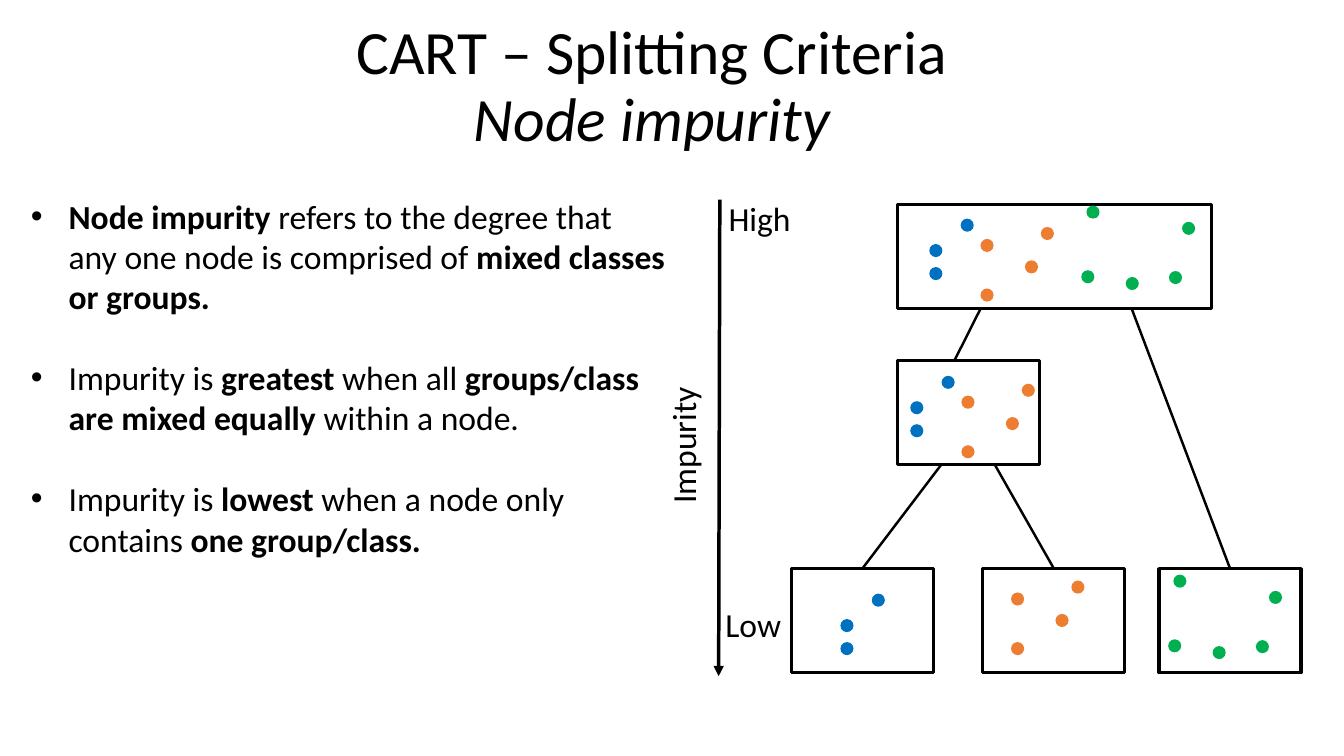
"""Build the slide on node impurity as a splitting criterion of CART."""
from dataclasses import dataclass

import lxml.etree
import pptx
import pptx.dml.color
import pptx.enum.shapes
import pptx.enum.text
import pptx.oxml.ns
import pptx.shapes.connector
import pptx.slide
import pptx.text.text
import pptx.util

Cm = pptx.util.Cm
Pt = pptx.util.Pt
qn = pptx.oxml.ns.qn
SHAPES = pptx.enum.shapes.MSO_SHAPE


@dataclass(frozen=True)
class Theme:
    """Colours, font and type sizes of the slide."""
    font: str = "Calibri"
    ink: str = "000000"
    blue: str = "0070C0"
    orange: str = "ED7D31"
    green: str = "00B050"
    title_size: int = 44
    body_size: int = 24
    paragraph_gap: int = 29


@dataclass(frozen=True)
class Node:
    """A rectangle of the tree, in centimetres."""
    left: float
    top: float
    width: float = 3.58
    height: float = 2.62


@dataclass(frozen=True)
class Branch:
    """A line from the bottom of a parent to the top of a child."""
    parent: Node
    child: Node
    start_x: float
    end_x: float


@dataclass(frozen=True)
class DotClass:
    """One class: a pattern of dots and the corners where it is repeated."""
    color: str
    dots: tuple[tuple[float, float], ...]
    corners: tuple[tuple[float, float], ...]


@dataclass(frozen=True)
class Label:
    """A short caption beside the impurity axis, in centimetres."""
    text: str
    left: float
    top: float
    width: float
    rotation: int = 0


THEME = Theme()
DOT_SIZE = 0.33
LEAF_TOP = 14.33

ROOT = Node(22.61, 5.16, width=7.92)
MIXED = Node(22.61, 9.09)
BLUE_LEAF, ORANGE_LEAF, GREEN_LEAF = (Node(left, LEAF_TOP) for left in (19.94, 24.77, 29.21))
NODES = (ROOT, MIXED, BLUE_LEAF, ORANGE_LEAF, GREEN_LEAF)

BRANCHES = (
    Branch(ROOT, MIXED, 24.71, 24.05),
    Branch(MIXED, BLUE_LEAF, 23.72, 21.73),
    Branch(MIXED, ORANGE_LEAF, 25.07, 26.56),
    Branch(ROOT, GREEN_LEAF, 28.52, 31),
)

DOT_CLASSES = (
    DotClass(THEME.blue, ((0, 1.22), (0.79, 0), (0, 0.64)),
             ((23.42, 5.51), (22.94, 9.47), (21.18, 14.96))),
    DotClass(THEME.orange, ((0, 0.3), (1.12, 0.84), (1.52, 0), (0, 1.55)),
             ((24.71, 5.72), (24.23, 9.67), (25.48, 14.63))),
    DotClass(THEME.green, ((1.12, 1.8), (2.54, 0.41), (0, 1.63), (2.21, 1.65), (0.13, 0)),
             ((27.25, 5.18), (29.44, 14.48))),
)

LABELS = (
    Label("High", 18.11, 4.85, 2.08),
    Label("Low", 18.03, 15.09, 1.93),
    Label("Impurity", 15.47, 10.57, 3.48, rotation=270),
)

# Asterisks enclose bold words; each inner string is one line.
BULLETS = (
    ("*Node impurity* refers to the degree that",
     "any one node is comprised of *mixed classes*",
     "*or groups.*"),
    ("Impurity is *greatest* when all *groups/class*",
     "*are mixed equally* within a node."),
    ("Impurity is *lowest* when a node only",
     "contains *one group/class.*"),
)


def rgb(color: str) -> pptx.dml.color.RGBColor:
    """Turn a hex string into a colour."""
    return pptx.dml.color.RGBColor.from_string(color)


def style_span(span: pptx.text.text._Run, size: int, bold: bool = False) -> None:
    """Apply the theme font to a run."""
    span.font.name = THEME.font
    span.font.size = Pt(size)
    span.font.bold = bold
    span.font.color.rgb = rgb(THEME.ink)


def add_title(page: pptx.slide.Slide) -> None:
    """Add the two-line centred title."""
    box = page.shapes.add_textbox(Cm(1.83), Cm(0.38), Cm(29.21), Cm(3.68))
    box.text_frame.word_wrap = True
    box.text_frame.vertical_anchor = pptx.enum.text.MSO_ANCHOR.MIDDLE
    para = box.text_frame.paragraphs[0]
    para.text = "CART – Splitting Criteria\vNode impurity"
    para.alignment = pptx.enum.text.PP_ALIGN.CENTER
    para.line_spacing = 0.9
    for span in para.runs:
        style_span(span, THEME.title_size)
    para.runs[-1].font.italic = True


def add_bullets(page: pptx.slide.Slide) -> None:
    """Add the bulleted explanation with its bold words."""
    box = page.shapes.add_textbox(Cm(0.53), Cm(4.8), Cm(16.84), Cm(9.5))
    frame = box.text_frame
    frame.word_wrap = True
    for number, lines in enumerate(BULLETS):
        para = frame.add_paragraph() if number else frame.paragraphs[0]
        para.space_after = Pt(THEME.paragraph_gap)
        properties = para._p.get_or_add_pPr()
        properties.set("marL", str(Cm(0.95)))
        properties.set("indent", str(-Cm(0.95)))
        lxml.etree.SubElement(properties, qn("a:buFont")).set("typeface", "Arial")
        lxml.etree.SubElement(properties, qn("a:buChar")).set("char", "•")
        for line_number, line in enumerate(lines):
            if line_number:
                para.add_line_break()
            for part_number, part in enumerate(line.split("*")):
                if part:
                    span = para.add_run()
                    span.text = part
                    style_span(span, THEME.body_size, bold=part_number % 2 == 1)


def add_label(page: pptx.slide.Slide, label: Label) -> None:
    """Add one caption of the axis."""
    box = page.shapes.add_textbox(Cm(label.left), Cm(label.top), Cm(label.width), Cm(1.27))
    box.rotation = label.rotation
    box.text_frame.word_wrap = False
    box.text_frame.text = label.text
    style_span(box.text_frame.paragraphs[0].runs[0], THEME.body_size)


def add_node(page: pptx.slide.Slide, node: Node) -> None:
    """Draw the outlined rectangle of a node."""
    box = page.shapes.add_shape(SHAPES.RECTANGLE, Cm(node.left), Cm(node.top),
                                Cm(node.width), Cm(node.height))
    box.shadow.inherit = False
    box.fill.background()
    box.line.color.rgb = rgb(THEME.ink)
    box.line.width = Pt(2.25)


def add_dots(page: pptx.slide.Slide, dot_class: DotClass) -> None:
    """Draw every repetition of a class's dot pattern."""
    for left, top in dot_class.corners:
        for across, down in dot_class.dots:
            dot = page.shapes.add_shape(SHAPES.OVAL, Cm(left + across), Cm(top + down),
                                        Cm(DOT_SIZE), Cm(DOT_SIZE))
            dot.shadow.inherit = False
            dot.fill.solid()
            dot.fill.fore_color.rgb = rgb(dot_class.color)
            dot.line.fill.background()


def add_line(page: pptx.slide.Slide, start: tuple[float, float], end: tuple[float, float],
             width: float) -> pptx.shapes.connector.Connector:
    """Draw a straight line without a shadow."""
    line = page.shapes.add_connector(pptx.enum.shapes.MSO_CONNECTOR.STRAIGHT,
                                     *(Cm(value) for value in start + end))
    line.line.color.rgb = rgb(THEME.ink)
    line.line.width = Pt(width)
    lxml.etree.SubElement(line._element.spPr, qn("a:effectLst"))
    return line


def main() -> None:
    """Compose the slide and save it."""
    deck = pptx.Presentation()
    deck.slide_width, deck.slide_height = Cm(33.87), Cm(19.05)
    page = deck.slides.add_slide(deck.slide_layouts[6])
    add_title(page)
    add_bullets(page)
    for node in NODES:
        add_node(page, node)
    for dot_class in DOT_CLASSES:
        add_dots(page, dot_class)
    for branch in BRANCHES:
        add_line(page, (branch.start_x, branch.parent.top + branch.parent.height),
                 (branch.end_x, branch.child.top), 1.75)
    axis = add_line(page, (18.14, 5.03), (18.11, 17.04), 2.5)
    lxml.etree.SubElement(axis.line._get_or_add_ln(), qn("a:tailEnd")).set("type", "triangle")
    for label in LABELS:
        add_label(page, label)
    deck.save("out.pptx")


main()
